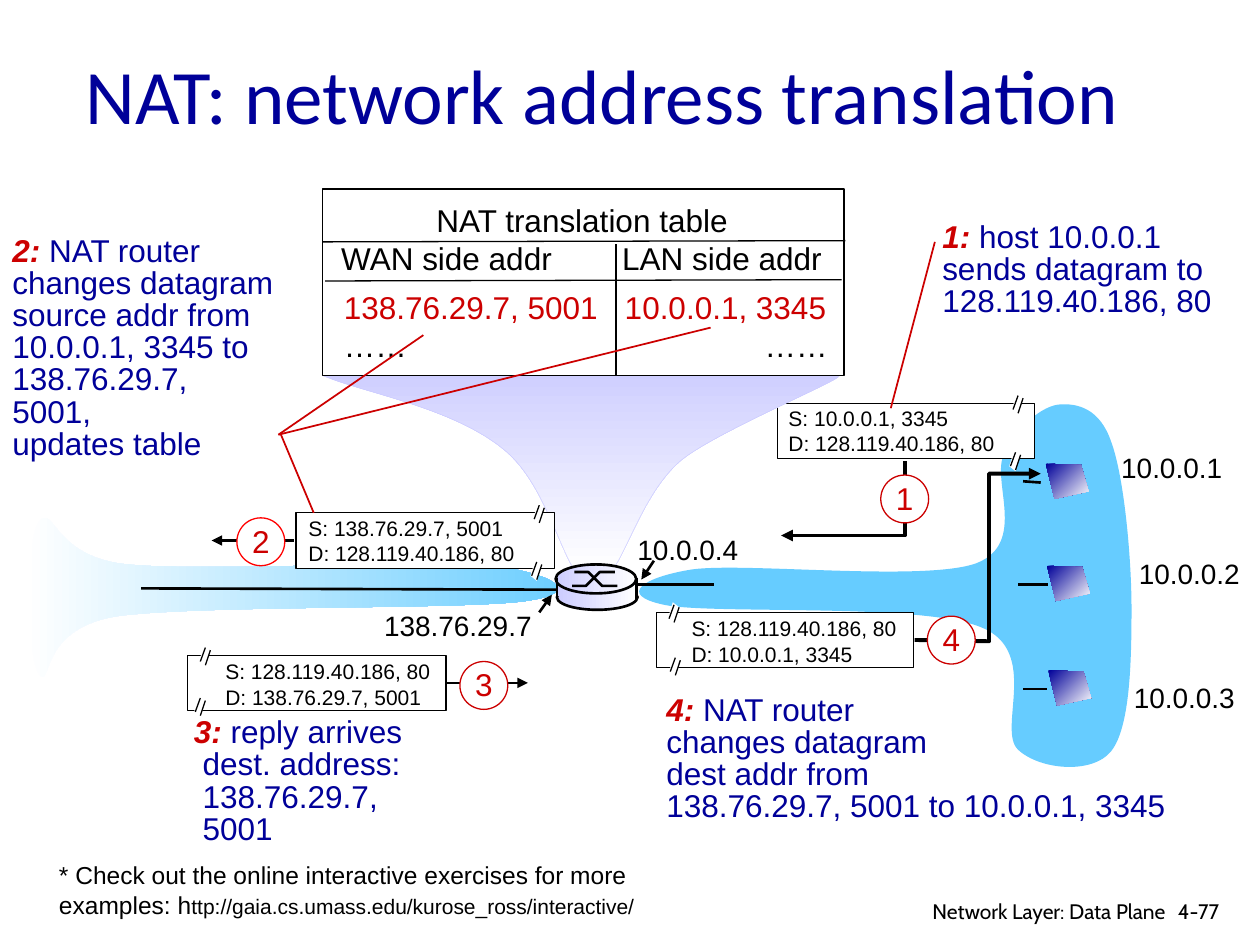
import pptx
import pptx.dml.color
import pptx.enum.shapes
import pptx.enum.text
import pptx.oxml.ns
import pptx.util
from lxml import etree

Inches, Pt, qn = pptx.util.Inches, pptx.util.Pt, pptx.oxml.ns.qn
SHAPE = pptx.enum.shapes.MSO_SHAPE
ALIGN, ANCHOR = pptx.enum.text.PP_ALIGN, pptx.enum.text.MSO_ANCHOR
BLACK, WHITE, RED, NAVY = "000000", "FFFFFF", "CC0000", "000099"
SKY, LILAC = "66CCFF", "CCCCFF"


def rgb(color):
    return pptx.dml.color.RGBColor.from_string(color)


def style(sp, fill=None, line=None, width=0.75, angle=0):
    """fill is a hex string, a pair of gradient ends, or None."""
    sp.shadow.inherit = False
    if fill is None:
        sp.fill.background()
    elif isinstance(fill, tuple):
        sp.fill.gradient()
        sp.fill.gradient_angle = (360 - angle) % 360
        for stop, color in zip(sp.fill.gradient_stops, fill):
            stop.color.rgb = rgb(color)
    else:
        sp.fill.solid()
        sp.fill.fore_color.rgb = rgb(fill)
    if line:
        sp.line.color.rgb = rgb(line)
        sp.line.width = Pt(width)
    else:
        sp.line.fill.background()


def set_font(font, size, color, name="Arial"):
    font.size, font.name = Pt(size), name
    font.color.rgb = rgb(color)


def add_arrowhead(sp):
    ln = sp._element.spPr.find(qn("a:ln"))
    etree.SubElement(ln, qn("a:tailEnd"), type="triangle")


def add_shape(s, kind, box, **look):
    sp = s.shapes.add_shape(kind, *map(Inches, box))
    style(sp, **look)
    return sp


def add_line(s, start, end, color=BLACK, width=1.5, arrow=False):
    sp = s.shapes.add_connector(pptx.enum.shapes.MSO_CONNECTOR.STRAIGHT,
                                *map(Inches, (*start, *end)))
    sp.line.color.rgb = rgb(color)
    sp.line.width = Pt(width)
    etree.SubElement(sp._element.spPr, qn("a:effectLst"))
    if arrow:
        add_arrowhead(sp)
    return sp


def add_outline(s, points, closed=True, arrow=False, **look):
    first, *rest = [(Inches(x), Inches(y)) for x, y in points]
    builder = s.shapes.build_freeform(*first)
    builder.add_line_segments(rest, close=closed)
    sp = builder.convert_to_shape()
    style(sp, **look)
    if arrow:
        add_arrowhead(sp)
    return sp


def add_curve(s, start, *segments, **look):
    """Segments of six numbers are Bezier curves, those of two are straight."""
    points = [start] + [seg[i:i + 2] for seg in segments for i in range(0, len(seg), 2)]
    sp = add_outline(s, points, **look)
    steps = iter(list(sp._element.iter(qn("a:lnTo"))))
    for seg in segments:
        step = next(steps)
        if len(seg) == 6:
            step.addprevious(bezier := etree.Element(qn("a:cubicBezTo")))
            for corner in (step, next(steps), next(steps)):
                bezier.append(corner[0])
                corner.getparent().remove(corner)


def add_text(s, box, lines, size, color=BLACK, name="Arial", wrap=False, align=ALIGN.LEFT,
             grow=True, tabs=()):
    """tabs holds pairs of position in inches and alignment."""
    tf = s.shapes.add_textbox(*map(Inches, box)).text_frame
    tf.word_wrap = wrap
    if grow:
        tf.auto_size = pptx.enum.text.MSO_AUTO_SIZE.SHAPE_TO_FIT_TEXT
    for i, line in enumerate(lines):
        p = tf.paragraphs[0] if i == 0 else tf.add_paragraph()
        p.text, p.alignment = line, align
        if tabs:
            tab_list = etree.SubElement(p._p.get_or_add_pPr(), qn("a:tabLst"))
            for pos, side in tabs:
                etree.SubElement(tab_list, qn("a:tab"), pos=str(Inches(pos)), algn=side)
        set_font(p.font, size, color, name)
    return tf


def add_step(s, box, number, lines, indent=0):
    """Explanation whose first line opens with the red step number."""
    tf = add_text(s, box, [""] + lines[1:], 18, NAVY)
    for p in tf.paragraphs:
        p.line_spacing = 0.85
    for p in tf.paragraphs[1:]:
        p._p.get_or_add_pPr().set("marL", str(Inches(indent)))
    p = tf.paragraphs[0]
    r = p.add_run()
    r.text = f"{number}: "
    r.font.bold = r.font.italic = True
    r.font.color.rgb = rgb(RED)
    p.add_run().text = lines[0]


def add_break_mark(s, x, y):
    def at(*offsets):
        return [(x + dx, y + dy) for dx, dy in offsets]
    add_outline(s, at((0.04, 0), (0, 0.13), (0.05, 0.17), (0.09, 0.04)), fill=WHITE)
    add_line(s, *at((0.05, 0.02), (0.01, 0.13)), width=0.75)
    add_line(s, *at((0.09, 0.04), (0.05, 0.16)), width=0.75)


def add_datagram(s, box, text_at, source, dest, marks):
    rect = add_shape(s, SHAPE.RECTANGLE, box, fill=WHITE, line=BLACK)
    add_text(s, (*text_at, 1.94, 0.5), [f"S: {source}", f"D: {dest}"], 12, wrap=True)
    for mark in marks:
        add_break_mark(s, *mark)
    return rect


def add_badge(s, x, y, number, line=RED):
    sp = add_shape(s, SHAPE.OVAL, (x, y, 0.38, 0.38), fill=WHITE, line=line)
    tf = sp.text_frame
    tf.margin_left = tf.margin_right = tf.margin_top = 0
    tf.margin_bottom = Inches(0.02)
    tf.word_wrap, tf.vertical_anchor = False, ANCHOR.MIDDLE
    p = tf.paragraphs[0]
    p.text, p.alignment = str(number), ALIGN.CENTER
    set_font(p.font, 18, RED)


def add_nat_table(s):
    add_shape(s, SHAPE.RECTANGLE, (2.56, 1.5, 4.14, 1.48), fill=WHITE, line=BLACK)
    tabs = [(2.23, "l"), (3.84, "r")]
    tf = add_text(s, (2.61, 1.55, 4.02, 0.7),
                  ["NAT translation table", "WAN side addr\tLAN side addr"], 18, wrap=True, tabs=tabs)
    tf.paragraphs[0].alignment = ALIGN.CENTER
    for start, end in [((2.56, 1.92), (6.71, 1.91)), ((2.58, 2.23), (6.68, 2.22)),
                       ((4.89, 1.94), (4.89, 2.98))]:
        add_line(s, start, end, width=0.75)
    tf = add_text(s, (2.63, 2.24, 4.05, 0.7),
                  ["138.76.29.7, 5001\t10.0.0.1, 3345", "……\t\t……"], 18, RED, wrap=True, tabs=tabs)
    tf.paragraphs[1].font.color.rgb = rgb(BLACK)


def add_networks(s):
    add_curve(s, (3.92, 4.49), (3.39, 4.44, 1.62, 4.54, 1.02, 4.48),
              (0.42, 4.43, 0.43, 3.99, 0.31, 4.14), (0.2, 4.28, 0.21, 5.22, 0.31, 5.35),
              (0.42, 5.48, 0.29, 4.99, 0.93, 4.89), (1.58, 4.8, 3.68, 4.84, 4.17, 4.77),
              (4.67, 4.7, 4.36, 4.55, 3.92, 4.49), fill=(WHITE, SKY))
    add_curve(s, (5.49, 4.52), (5.91, 4.46, 7.34, 4.62, 7.75, 4.47),
              (8.16, 4.31, 7.86, 3.81, 7.97, 3.6), (8.07, 3.39, 8.27, 3.22, 8.41, 3.21),
              (8.55, 3.2, 8.73, 3.24, 8.82, 3.51), (8.92, 3.78, 8.98, 4.42, 8.98, 4.83),
              (8.98, 5.24, 8.97, 5.77, 8.82, 5.96), (8.67, 6.15, 8.25, 6.11, 8.08, 5.95),
              (7.91, 5.79, 8.26, 5.17, 7.79, 4.98), (7.32, 4.78, 5.65, 4.88, 5.27, 4.8),
              (4.89, 4.72, 5.11, 4.58, 5.49, 4.52), fill=SKY)
    for start, end in [((5.01, 4.64), (5.67, 4.64)), ((8.12, 3.82), (8.26, 3.83)),
                       ((8.12, 5.47), (8.31, 5.47)), ((8.08, 4.64), (8.32, 4.64))]:
        add_line(s, start, end)


def add_router(s):
    metal = (LILAC, WHITE)
    add_shape(s, SHAPE.OVAL, (4.42, 4.64, 0.64, 0.2), fill=metal, line=BLACK, width=1.5)
    add_shape(s, SHAPE.RECTANGLE, (4.42, 4.61, 0.64, 0.12), fill=metal)
    add_shape(s, SHAPE.OVAL, (4.41, 4.48, 0.64, 0.23), fill=metal, line=BLACK, width=1.5)
    for x, y1, y2 in [(4.54, 4.65, 4.54), (4.56, 4.54, 4.65)]:
        add_outline(s, [(x, y1), (x + 0.11, y1), (x + 0.22, y2), (x + 0.34, y2)],
                    closed=False, line=BLACK, width=1.5)
    for x in (4.42, 5.05):
        add_line(s, (x, 4.59), (x, 4.75))


def main():
    prs = pptx.Presentation()
    prs.slide_width, prs.slide_height = Inches(10), Inches(7.5)
    s = prs.slides.add_slide(prs.slide_layouts[6])
    add_networks(s)
    for x, y, width, address in [(8.8, 3.53, 1.01, "10.0.0.1"), (8.94, 4.37, 1.01, "10.0.0.2"),
                                 (8.9, 5.35, 1.01, "10.0.0.3"), (4.96, 4.18, 1.01, "10.0.0.4"),
                                 (2.95, 4.78, 1.38, "138.76.29.7")]:
        add_text(s, (x, y, width, 0.37), [address], 16)
    add_line(s, (5.19, 4.45), (5.09, 4.6), arrow=True)
    add_line(s, (4.28, 4.86), (4.38, 4.72), arrow=True)

    host, server, public = "10.0.0.1, 3345", "128.119.40.186, 80", "138.76.29.7, 5001"
    add_datagram(s, (6.17, 3.2, 2.04, 0.44), (6.16, 3.17), host, server, [(8.03, 3.12), (8.01, 3.57)])
    add_outline(s, [(7.18, 3.66), (7.18, 4.25), (6.2, 4.25)], closed=False, arrow=True,
                line=BLACK, width=2.25)
    add_badge(s, 6.99, 3.77, 1)
    add_step(s, (7.38, 1.72, 2.35, 0.87), 1, ["host 10.0.0.1", "sends datagram to", server])
    add_line(s, (7.42, 1.92), (7.07, 3.24), RED, 1)

    add_curve(s, (2.56, 2.98), (2.56, 2.98, 6.17, 2.87, 6.65, 2.98),
              (6.79, 2.97, 5.71, 3.41, 5.41, 3.65), (5.11, 3.9, 4.97, 4.41, 4.84, 4.55),
              (4.58, 4.55), (4.44, 4.38, 4.32, 3.82, 3.99, 3.56),
              (3.58, 3.23, 2.89, 3.12, 2.56, 2.98),
              fill=(LILAC, WHITE), angle=90, line=LILAC, width=0.25)
    add_nat_table(s)

    add_datagram(s, (5.21, 4.86, 2.04, 0.44), (5.39, 4.84), server, host, [(5.3, 4.78), (5.31, 5.2)])
    add_outline(s, [(7.26, 5.08), (7.85, 5.09), (7.85, 3.76), (8.26, 3.76)], closed=False,
                arrow=True, line=BLACK, width=2.25)
    add_badge(s, 7.36, 4.89, 4)

    add_datagram(s, (2.35, 4.07, 2.05, 0.44), (2.35, 4.04), public, server, [(4.23, 3.99), (4.21, 4.44)])
    add_line(s, (2.33, 4.29), (1.68, 4.29), arrow=True)
    add_badge(s, 1.88, 4.11, 2, "FF0000")
    add_step(s, (0, 1.83, 2.28, 1.63), 2, ["NAT router", "changes datagram", "source addr from",
                                           f"{host} to", f"{public},", "updates table"])
    for start, end in [((2.23, 3.45), (2.49, 4.07)), ((2.21, 3.45), (3.36, 2.66)),
                       ((2.21, 3.45), (5.64, 2.6))]:
        add_line(s, start, end, RED, 1)

    rect = add_datagram(s, (1.49, 5.2, 2.05, 0.44), (1.69, 5.18), server, public,
                        [(1.58, 5.12), (1.54, 5.52)])
    add_line(s, (3.54, 5.42), (4.19, 5.42), arrow=True).begin_connect(rect, 3)
    add_badge(s, 3.65, 5.25, 3)
    add_step(s, (1.44, 5.65, 2.28, 0.87), 3, ["reply arrives", "dest. address:", public], indent=0.07)
    add_step(s, (5.19, 5.47, 4.23, 1.42), 4,
             ["NAT router", "changes datagram", "dest addr from", f"{public} to {host}"])

    add_line(s, (1.12, 4.67), (4.43, 4.68))
    title = add_text(s, (0.58, 0.25, 8.85, 0.99), ["NAT: network address translation"],
                     44, NAVY, "Calibri", wrap=True, grow=False)
    title.vertical_anchor = ANCHOR.MIDDLE
    add_router(s)
    for x, y in [(8.3, 3.68), (8.31, 4.49), (8.32, 5.32)]:
        add_outline(s, [(x, y), (x + 0.28, y + 0.01), (x + 0.34, y + 0.22), (x + 0.07, y + 0.28)],
                    fill=(NAVY, WHITE), angle=45)
    footer = {"size": 12, "name": "Cabin", "wrap": True, "grow": False}
    add_text(s, (9.25, 7.08, 0.61, 0.3), ["4-77"], **footer)
    add_text(s, (6.97, 7.08, 2.38, 0.26), ["Network Layer: Data Plane"], align=ALIGN.RIGHT, **footer)
    note = add_text(s, (0.37, 6.78, 4.93, 0.57),
                    ["* Check out the online interactive exercises for more examples: h"], 14, wrap=True)
    r = note.paragraphs[0].add_run()
    r.text = "ttp://gaia.cs.umass.edu/kurose_ross/interactive/"
    r.font.size = Pt(12)
    prs.save("out.pptx")


if __name__ == "__main__":
    main()
